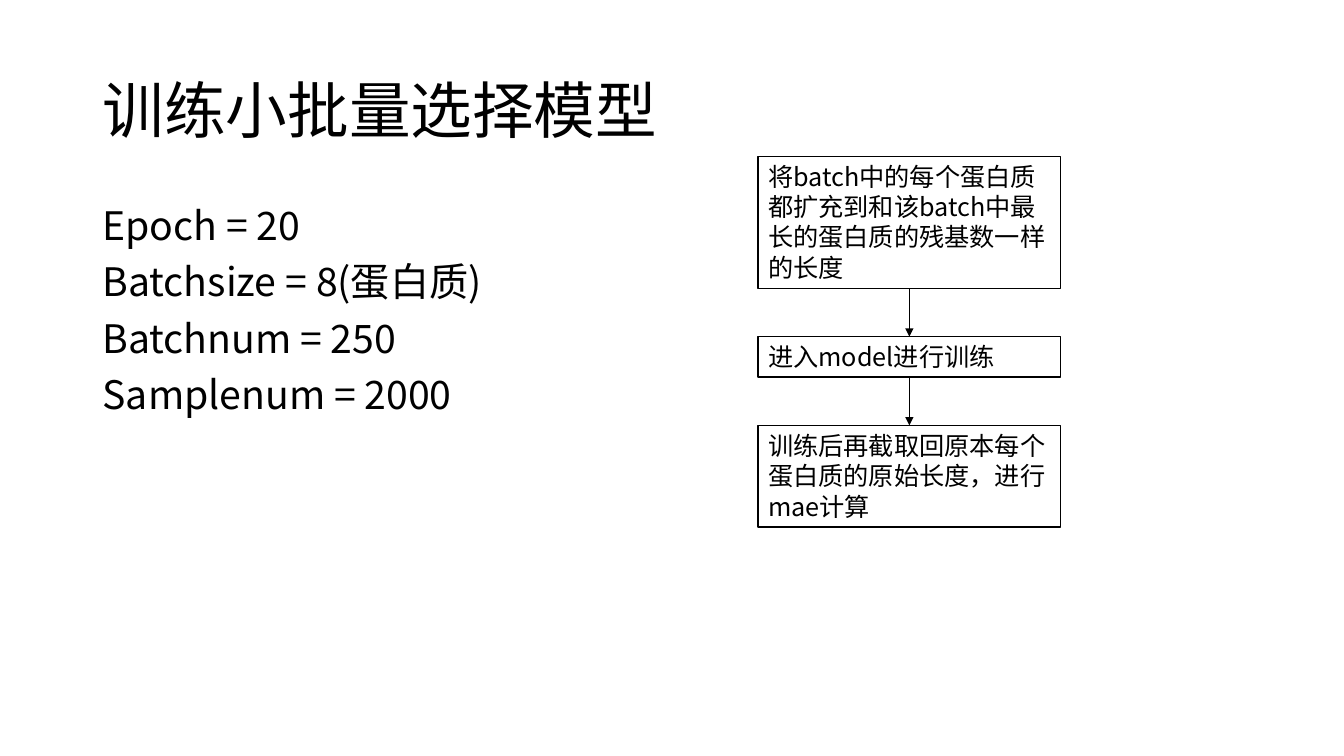
import pptx
import pptx.util
from lxml import etree
from pptx.dml.color import RGBColor
from pptx.enum.shapes import MSO_CONNECTOR, MSO_SHAPE
from pptx.enum.text import MSO_ANCHOR, MSO_AUTO_SIZE, PP_ALIGN
from pptx.oxml.ns import qn
from pptx.util import Inches, Pt

TITLE = "训练小批量选择模型"
PARAMS = ["Epoch = 20", "Batchsize = 8(蛋白质)", "Batchnum = 250", "Samplenum = 2000"]
STEPS = [  # text, box height
    ("将batch中的每个蛋白质都扩充到和该batch中最长的蛋白质的残基数一样的长度", 1.31),
    ("进入model进行训练", 0.4),
    ("训练后再截取回原本每个蛋白质的原始长度，进行mae计算", 1.01),
]
FONT = "Noto Sans CJK SC"
BLACK = RGBColor(0, 0, 0)
WHITE = RGBColor(255, 255, 255)
LEFT, WIDTH = 0.92, 11.5
STEP_LEFT, STEP_TOP, STEP_WIDTH, STEP_GAP = 7.52, 1.55, 3, 0.48


def write(frame, lines, size, spacing=1.0, before=0):
    frame.word_wrap = True
    for i, line in enumerate(lines):
        para = frame.paragraphs[0] if i == 0 else frame.add_paragraph()
        para.text = line
        para.alignment = PP_ALIGN.LEFT
        para.line_spacing = spacing
        para.space_before = Pt(before if i else 0)
        para.font.name = FONT
        para.font.size = Pt(size)
        para.font.color.rgb = BLACK
        props = para._p.pPr.find(qn("a:defRPr"))
        etree.SubElement(props, qn("a:ea"), typeface=FONT)


def add_step(slide, text, top, height):
    box = slide.shapes.add_shape(
        MSO_SHAPE.RECTANGLE, Inches(STEP_LEFT), Inches(top),
        Inches(STEP_WIDTH), Inches(height))
    box.shadow.inherit = False
    box.fill.solid()
    box.fill.fore_color.rgb = WHITE
    box.line.color.rgb = BLACK
    box.line.width = Pt(1)
    box.text_frame.vertical_anchor = MSO_ANCHOR.TOP
    write(box.text_frame, [text], 18)
    box.text_frame.auto_size = MSO_AUTO_SIZE.SHAPE_TO_FIT_TEXT
    return box


def add_arrow(slide, upper, lower):
    arrow = slide.shapes.add_connector(MSO_CONNECTOR.STRAIGHT, 0, 0, 0, 0)
    arrow.begin_connect(upper, 2)
    arrow.end_connect(lower, 0)
    arrow.line.color.rgb = BLACK
    arrow.line.width = Pt(0.5)
    etree.SubElement(arrow.line._get_or_add_ln(), qn("a:tailEnd"), type="triangle")
    etree.SubElement(arrow._element.spPr, qn("a:effectLst"))


def main():
    deck = pptx.Presentation()
    deck.slide_width, deck.slide_height = Inches(13.33), Inches(7.5)
    slide = deck.slides.add_slide(deck.slide_layouts[6])

    title = slide.shapes.add_textbox(
        Inches(LEFT), Inches(0.4), Inches(WIDTH), Inches(1.45)).text_frame
    title.vertical_anchor = MSO_ANCHOR.MIDDLE
    write(title, [TITLE], 44, 0.9)

    body = slide.shapes.add_textbox(
        Inches(LEFT), Inches(2), Inches(WIDTH), Inches(4.76)).text_frame
    write(body, PARAMS, 28, 0.9, 10)

    top, last = STEP_TOP, None
    for text, height in STEPS:
        box = add_step(slide, text, top, height)
        if last is not None:
            add_arrow(slide, last, box)
        top, last = top + height + STEP_GAP, box

    deck.save("out.pptx")


if __name__ == "__main__":
    main()
